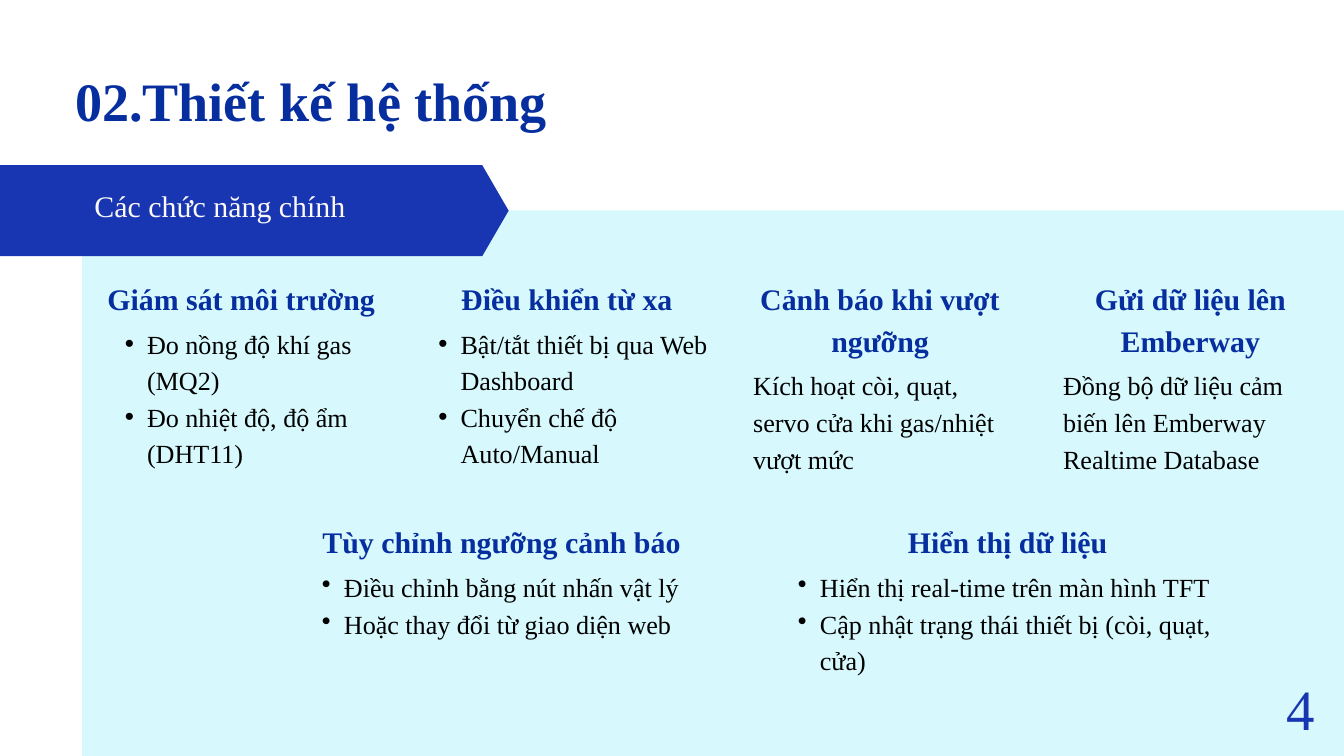
import pptx
import pptx.util
import pptx.dml.color
import pptx.enum.shapes
import pptx.enum.text
import lxml.etree

Pt = pptx.util.Pt
RGBColor = pptx.dml.color.RGBColor
Align = pptx.enum.text.PP_ALIGN
Shape = pptx.enum.shapes.MSO_SHAPE

# Content
TITLE = "02.Thiết kế hệ thống"
SECTION = "Các chức năng chính"
PAGE_NUMBER = "4"
# left, width, heading, heading lines, body height, bulleted, body
TOP_CARDS = [
    (110, 297, "Giám sát môi trường", 1, 196, True,
     ["Đo nồng độ khí gas (MQ2)", "Đo nhiệt độ, độ ẩm (DHT11)"]),
    (446, 323, "Điều khiển từ xa", 1, 196, True,
     ["Bật/tắt thiết bị qua Web Dashboard", "Chuyển chế độ Auto/Manual"]),
    (807, 272, "Cảnh báo khi vượt ngưỡng", 2, 118, False,
     ["Kích hoạt còi, quạt, servo cửa khi gas/nhiệt vượt mức"]),
    (1139, 273, "Gửi dữ liệu lên Emberway", 2, 118, False,
     ["Đồng bộ dữ liệu cảm biến lên Emberway Realtime Database"]),
]
BOTTOM_CARDS = [
    (321, 433, "Tùy chỉnh ngưỡng cảnh báo", 1, 157, True,
     ["Điều chỉnh bằng nút nhấn vật lý", "Hoặc thay đổi từ giao diện web"]),
    (831, 497.5, "Hiển thị dữ liệu", 1, 196, True,
     ["Hiển thị real-time trên màn hình TFT",
      "Cập nhật trạng thái thiết bị (còi, quạt, cửa)"]),
]
ROWS = [(294, TOP_CARDS), (555, BOTTOM_CARDS)]

# Formats
NAVY = RGBColor(0x07, 0x2E, 0x9F)
BLUE = RGBColor(0x18, 0x36, 0xB2)
PALE_CYAN = RGBColor(0xD7, 0xF9, 0xFD)
OFF_WHITE = RGBColor(0xFB, 0xF9, 0xFA)
BLACK = RGBColor(0, 0, 0)
FONT = "Times New Roman"
PAGE_WIDTH, PAGE_HEIGHT = 1440, 810
HEADING_LINE = 44.8
BODY_GAP = 7
BULLET_MARGIN, BULLET_INDENT = 47.5, -23.75

# size, bold, colour, line spacing, alignment
TITLE_STYLE = (58, True, NAVY, 69.6, Align.LEFT)
HEADING_STYLE = (32, True, NAVY, HEADING_LINE, Align.CENTER)
BODY_STYLE = (28, False, BLACK, 39.2, Align.LEFT)
SECTION_STYLE = (32, False, OFF_WHITE, 35.2, Align.CENTER)
NUMBER_STYLE = (61, False, BLUE, 85.4, Align.CENTER)


def set_format(target, values):
    for name, value in values.items():
        setattr(target, name, value)


def set_bullet(para, bulleted):
    properties = para._p.get_or_add_pPr()
    margin, indent = (BULLET_MARGIN, BULLET_INDENT) if bulleted else (0, 0)
    properties.set("marL", str(Pt(margin)))
    properties.set("indent", str(Pt(indent)))
    tag = "a:buChar" if bulleted else "a:buNone"
    bullet = lxml.etree.SubElement(properties, pptx.oxml.ns.qn(tag))
    if bulleted:
        bullet.set("char", "•")


def write(box, frame, lines, style, bulleted=False):
    """Place a text holder and fill it, one paragraph per line."""
    size, bold, colour, spacing, alignment = style
    set_format(box, dict(zip(("left", "top", "width", "height"), map(Pt, frame))))
    text = box.text_frame
    set_format(text, {
        "word_wrap": True, "auto_size": pptx.enum.text.MSO_AUTO_SIZE.NONE,
        "vertical_anchor": pptx.enum.text.MSO_ANCHOR.TOP,
        "margin_left": 0, "margin_top": 0, "margin_right": 0, "margin_bottom": 0})
    for number, line in enumerate(lines):
        para = text.add_paragraph() if number else text.paragraphs[0]
        set_bullet(para, bulleted)
        set_format(para, {"alignment": alignment, "line_spacing": Pt(spacing),
                          "space_before": Pt(0), "space_after": Pt(0)})
        span = para.add_run()
        span.text = line
        set_format(span.font, {"name": FONT, "size": Pt(size), "bold": bold})
        span.font.color.rgb = colour


def add_block(page, kind, frame, colour):
    block = page.shapes.add_shape(kind, *map(Pt, frame))
    block.shadow.inherit = False
    block.fill.solid()
    block.fill.fore_color.rgb = colour
    block.line.fill.background()
    return block


def main():
    deck = pptx.Presentation()
    deck.slide_width, deck.slide_height = Pt(PAGE_WIDTH), Pt(PAGE_HEIGHT)
    layout = deck.slide_layouts.get_by_name("Comparison")
    page = deck.slides.add_slide(layout)

    # Title; the date, footer and number holders are not carried to the page
    write(page.shapes.title, (80.5, 72, 526, 78), [TITLE], TITLE_STYLE)

    # Background panel, sent behind the placeholders
    panel = add_block(page, Shape.RECTANGLE,
                      (88, 225.5, PAGE_WIDTH - 88, PAGE_HEIGHT - 225.5), PALE_CYAN)
    page.shapes.element.insert(2, panel.element)

    # Section ribbon
    ribbon = add_block(page, Shape.PENTAGON, (0, 177, 545, 97.5), BLUE)
    ribbon.adjustments[0] = 0.29
    label = page.shapes.add_textbox(0, 0, 0, 0)
    write(label, (0, 204.5, 471.5, 40), [SECTION], SECTION_STYLE)

    # Cards: the layout's text holders come first, then text boxes
    holders = [holder for holder in page.placeholders
               if holder.placeholder_format.idx > 0]

    def next_box():
        return holders.pop(0) if holders else page.shapes.add_textbox(0, 0, 0, 0)

    for top, cards in ROWS:
        for left, width, heading, count, height, bulleted, body in cards:
            heading_height = count * HEADING_LINE
            write(next_box(), (left, top, width, heading_height),
                  [heading], HEADING_STYLE)
            write(next_box(), (left, top + heading_height + BODY_GAP, width, height),
                  body, BODY_STYLE, bulleted)

    # Page number
    number = page.shapes.add_textbox(0, 0, 0, 0)
    write(number, (1363.5, 710, 61, 91.5), [PAGE_NUMBER], NUMBER_STYLE)

    deck.save("out.pptx")


if __name__ == "__main__":
    main()
